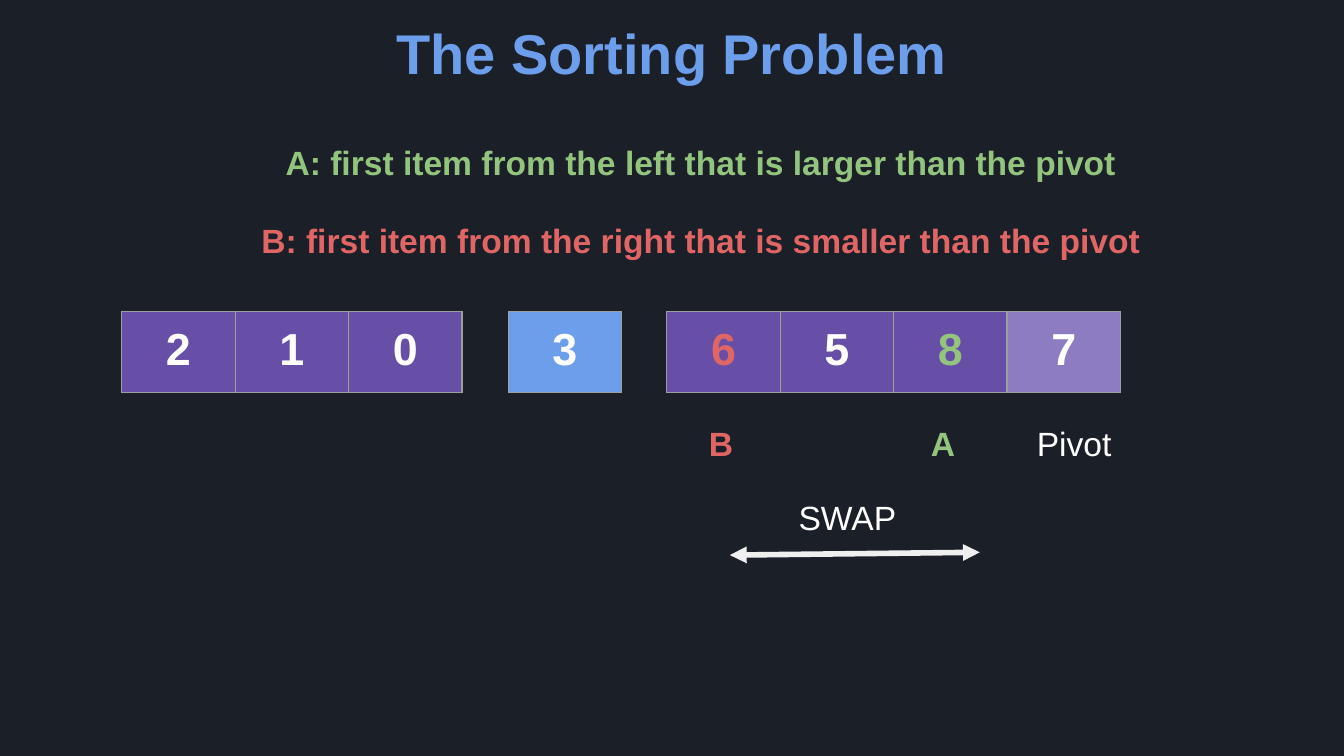
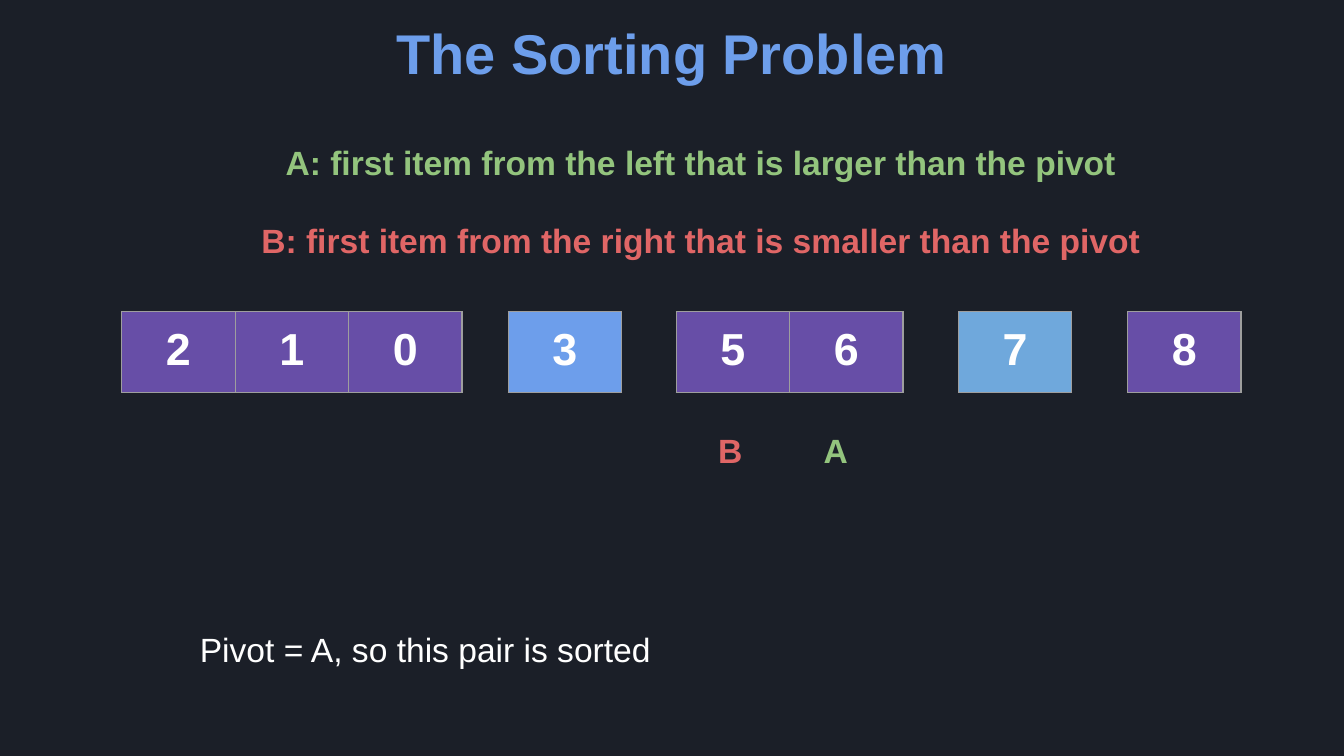
"""Build two slides that walk through partition steps of quicksort."""
from lxml import etree
from pptx import Presentation
from pptx.dml.color import RGBColor
from pptx.enum.shapes import MSO_CONNECTOR
from pptx.enum.text import MSO_ANCHOR, PP_ALIGN
from pptx.oxml.ns import qn
from pptx.util import Pt

STRAIGHT = MSO_CONNECTOR.STRAIGHT
TOP = MSO_ANCHOR.TOP
CENTER = PP_ALIGN.CENTER

NIGHT = RGBColor(0x1B, 0x1F, 0x28)
WHITE = RGBColor(0xFF, 0xFF, 0xFF)
ARROW = RGBColor(0xEF, 0xEF, 0xEF)
GRID = RGBColor(0x9E, 0x9E, 0x9E)
BLUE = RGBColor(0x6D, 0x9E, 0xEB)
SKY = RGBColor(0x6F, 0xA8, 0xDC)
GREEN = RGBColor(0x93, 0xC4, 0x7D)
RED = RGBColor(0xE0, 0x66, 0x66)
PURPLE = RGBColor(0x67, 0x4E, 0xA7)
LILAC = RGBColor(0x8E, 0x7C, 0xC3)

FONT = "Arial"
SLIDE_W, SLIDE_H = 720, 405
INSET = 7.2
CELL_W, CELL_H = 60.8, 43.2
LABEL_H = 36
MARKER_W = 43.2
ARRAY_Y = 167
MARKERS = {"A": (GREEN, 10), "B": (RED, 5)}


def write(tf, text, size, color, bold):
    """Put one centred, formatted line into a text frame."""
    tf.text = text
    p = tf.paragraphs[0]
    p.alignment = CENTER
    font = p.runs[0].font
    font.name, font.size, font.bold = FONT, Pt(size), bold
    font.color.rgb = color


def label(s, box, text, color=WHITE, size=18, bold=False, extra_right=0):
    """Add a text box; extra_right widens its right inset."""
    tf = s.shapes.add_textbox(*map(Pt, box)).text_frame
    tf.word_wrap = True
    tf.vertical_anchor = TOP
    tf.margin_left = tf.margin_top = tf.margin_bottom = Pt(INSET)
    tf.margin_right = Pt(INSET + extra_right)
    write(tf, text, size, color, bold)


def border(cell):
    """Draw a thin grey line on all four sides of a cell."""
    tc_pr = cell._tc.get_or_add_tcPr()
    for i, side in enumerate(("a:lnL", "a:lnR", "a:lnT", "a:lnB")):
        ln = etree.Element(qn(side), w=str(Pt(0.75)))
        fill = etree.SubElement(ln, qn("a:solidFill"))
        etree.SubElement(fill, qn("a:srgbClr"), val=str(GRID))
        tc_pr.insert(i, ln)


def array(s, x, y, items, row_h=CELL_H):
    """Add a one-row table of (value, fill, text colour) items."""
    n = len(items)
    table = s.shapes.add_table(1, n, Pt(x), Pt(y), Pt(n * CELL_W), Pt(row_h)).table
    table.first_row = table.horz_banding = False
    for col, (value, fill, color) in enumerate(items):
        table.columns[col].width = Pt(CELL_W)
        cell = table.cell(0, col)
        cell.margin_left = cell.margin_right = Pt(INSET)
        cell.margin_top = cell.margin_bottom = Pt(INSET)
        cell.vertical_anchor = TOP
        write(cell.text_frame, str(value), 24, color, True)
        cell.fill.solid()
        cell.fill.fore_color.rgb = fill
        border(cell)


def marker(s, x, y, name):
    """Add the letter of a scan position under the array."""
    color, extra_right = MARKERS[name]
    label(s, (x, y, MARKER_W, LABEL_H), name, color, bold=True, extra_right=extra_right)


def swap(s, x, y, w):
    """Add the swap caption with a double arrow below it."""
    label(s, (x, y, w, LABEL_H), "SWAP")
    line = s.shapes.add_connector(
        STRAIGHT, Pt(x + 23.8), Pt(y + 38.2), Pt(x + 157.7), Pt(y + 36.7))
    line.line.color.rgb = ARROW
    line.line.width = Pt(3)
    ln = line.line._get_or_add_ln()
    for end in ("a:headEnd", "a:tailEnd"):
        etree.SubElement(ln, qn(end), type="triangle")
    etree.SubElement(line._element.spPr, qn("a:effectLst"))


def heading(s, x, y, w):
    """Add the title and the two scan rules."""
    label(s, (x, y, w, 58.3), "The Sorting Problem", BLUE, 30, True)
    rules = (("A: first item from the left that is larger than the pivot", GREEN),
             ("B: first item from the right that is smaller than the pivot", RED))
    for i, (text, color) in enumerate(rules):
        label(s, (x + 31.7, y + 66.2 + 41.8 * i, 500.4, LABEL_H), text, color, bold=True)


def base_slide(prs):
    """Add a slide with the shared background, heading and sorted left part."""
    s = prs.slides.add_slide(prs.slide_layouts[6])
    s.background.fill.solid()
    s.background.fill.fore_color.rgb = NIGHT
    heading(s, 93.6, 2.9, 532.8)
    array(s, 272.2, ARRAY_Y, [(3, BLUE, WHITE)])
    array(s, 65.2, ARRAY_Y, [(v, PURPLE, WHITE) for v in (2, 1, 0)])
    return s


def swap_step(s, x, y):
    """Show the right part while A and B are swapped."""
    array(s, x, y, [(6, PURPLE, RED), (5, PURPLE, WHITE),
                    (8, PURPLE, GREEN), (7, LILAC, WHITE)])
    label(s, (x + 131.5, y + 52.6, 173.5, LABEL_H), "Pivot")
    marker(s, x + 131.5, y + 52.6, "A")
    marker(s, x + 10, y + 52.6, "B")
    swap(s, x + 10, y + 92.2, 173.5)


def sorted_step(s, x, y):
    """Show the right part split around its pivot."""
    array(s, x + 151.2, y, [(7, SKY, WHITE)])
    array(s, x, y, [(v, PURPLE, WHITE) for v in (5, 6)], row_h=8)
    array(s, x + 241.8, y, [(8, PURPLE, WHITE)])
    marker(s, x + 69, y + 56.2, "A")
    marker(s, x + 10, y + 56.2, "B")
    label(s, (0, y + 162.8, 455.8, LABEL_H), "Pivot = A, so this pair is sorted")


def main():
    """Build and save the presentation."""
    prs = Presentation()
    prs.slide_width, prs.slide_height = Pt(SLIDE_W), Pt(SLIDE_H)
    swap_step(base_slide(prs), 357.2, ARRAY_Y)
    sorted_step(base_slide(prs), 362.2, ARRAY_Y)
    prs.save("out.pptx")


if __name__ == "__main__":
    main()
